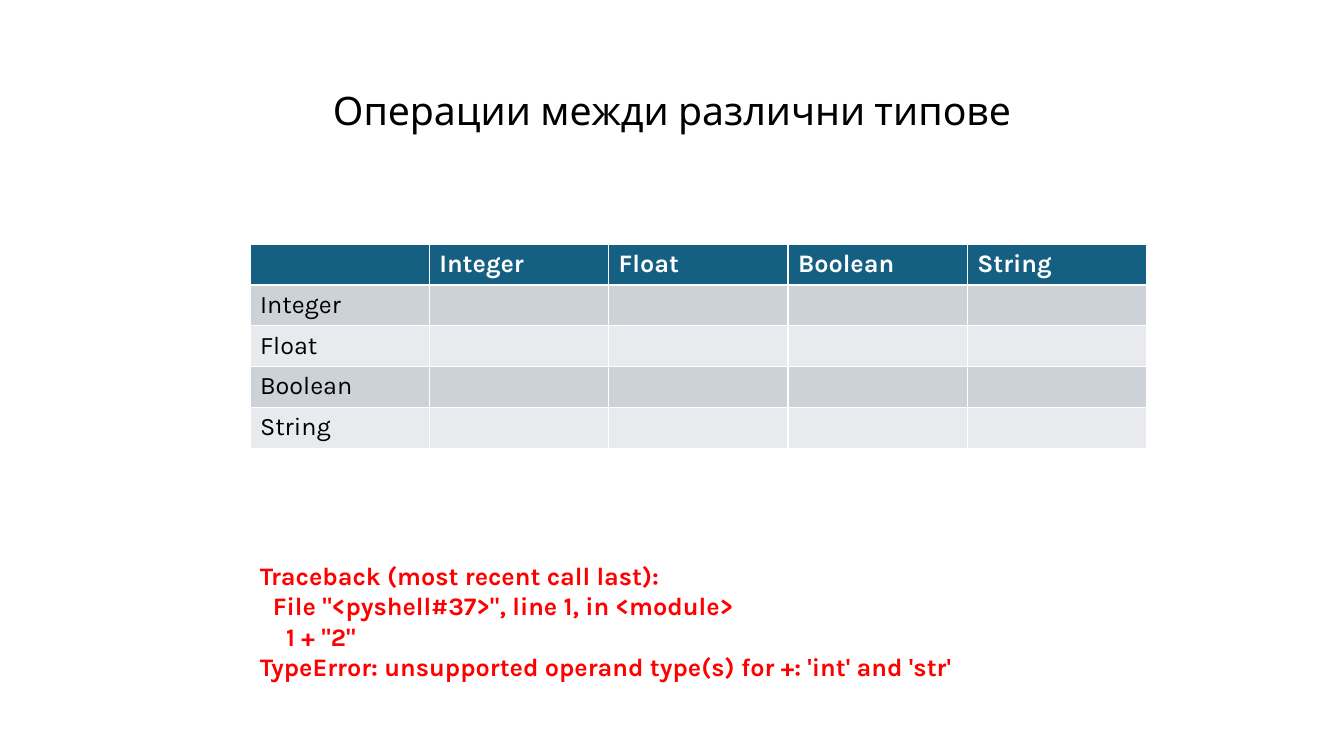
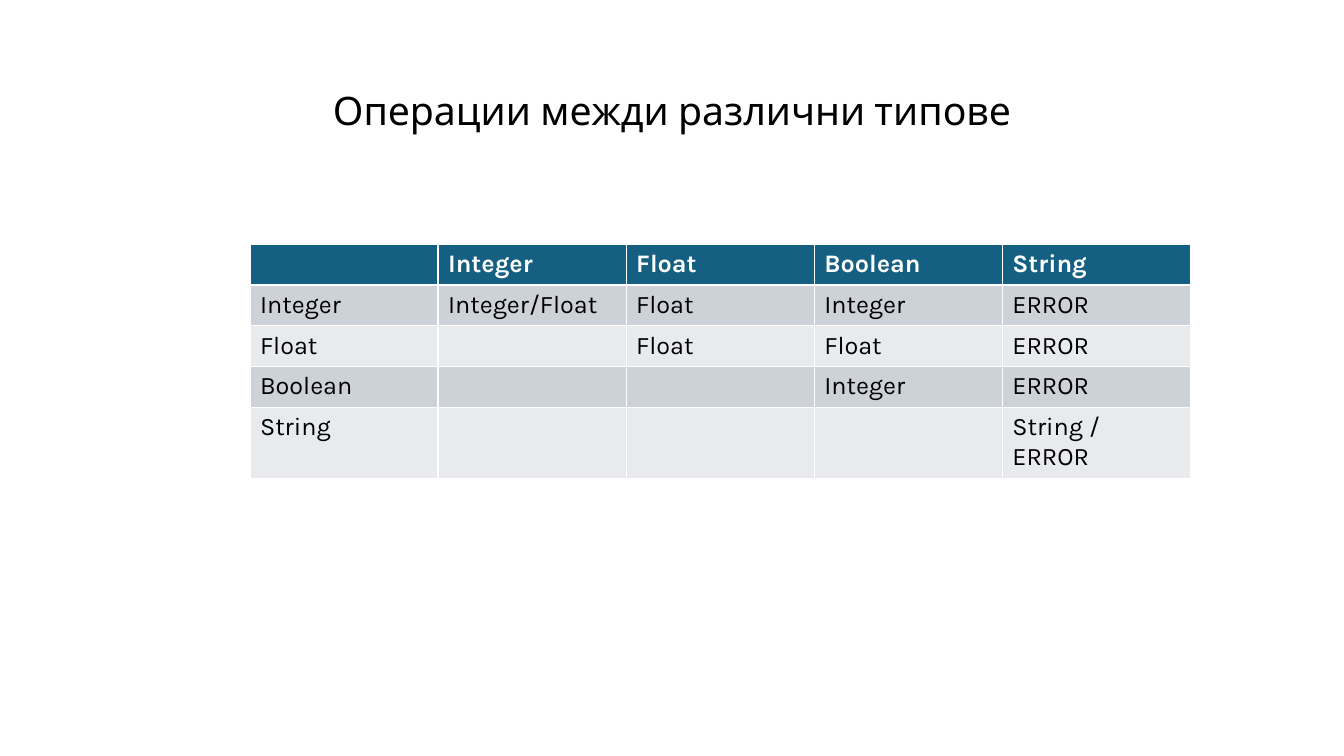
from pptx import Presentation
from pptx.dml.color import RGBColor
from pptx.enum.text import MSO_ANCHOR, PP_ALIGN
from pptx.util import Cm, Pt

FONT = "Karla"
HEADER = RGBColor(0x15, 0x60, 0x82)
BAND_DARK = RGBColor(0xCC, 0xD2, 0xD8)
BAND_LIGHT = RGBColor(0xE8, 0xEA, 0xED)
WHITE = RGBColor(0xFF, 0xFF, 0xFF)
BLACK = RGBColor(0x00, 0x00, 0x00)
RED = RGBColor(0xFF, 0x00, 0x00)

TITLE = "Операции межди различни типове"
TYPES = ["Integer", "Float", "Boolean", "String"]
LEFT = Cm(6.3)
ROW_HEIGHT = Cm(1.03)

# Column width and results of each slide, one row per left operand
TABLES = [
    (Cm(4.52), [[""] * 4] * 4),
    (Cm(4.74), [
        ["Integer/Float", "Float", "Integer", "ERROR"],
        ["", "Float", "Float", "ERROR"],
        ["", "", "Integer", "ERROR"],
        ["", "", "", "String / ERROR"],
    ]),
]

# Indent level and text of each traceback line
TRACEBACK = [
    (0, "Traceback (most recent call last):"),
    (1, 'File "<pyshell#37>", line 1, in <module>'),
    (2, '1 + "2"'),
    (0, "TypeError: unsupported operand type(s) for +: 'int' and 'str'"),
]
INDENT = Cm(0.33)


def style(paragraph, size, color, bold=False):
    for run in paragraph.runs:
        run.font.name = FONT
        run.font.size = Pt(size)
        run.font.bold = bold
        run.font.color.rgb = color


prs = Presentation()
prs.slide_width = Cm(33.87)
prs.slide_height = Cm(19.05)

for column_width, results in TABLES:
    slide = prs.slides.add_slide(prs.slide_layouts[6])

    # Title
    title = slide.shapes.add_textbox(Cm(2.33), Cm(1.01), Cm(29.21), Cm(3.68)).text_frame
    title.word_wrap = True
    title.vertical_anchor = MSO_ANCHOR.MIDDLE
    title.text = TITLE
    title.paragraphs[0].alignment = PP_ALIGN.CENTER
    title.paragraphs[0].line_spacing = 0.9
    style(title.paragraphs[0], 28, BLACK)

    # Operand types and result types; the default table style draws the white rules
    rows = [["", *TYPES]] + [[name, *row] for name, row in zip(TYPES, results)]
    operations = slide.shapes.add_table(
        len(rows), len(rows[0]), LEFT, Cm(6.15),
        column_width * len(rows[0]), ROW_HEIGHT * len(rows)).table
    for column in operations.columns:
        column.width = column_width
    for r, row in enumerate(rows):
        operations.rows[r].height = ROW_HEIGHT
        is_header = r == 0
        band = HEADER if is_header else BAND_DARK if r % 2 else BAND_LIGHT
        for c, label in enumerate(row):
            cell = operations.cell(r, c)
            cell.fill.solid()
            cell.fill.fore_color.rgb = band
            if label:
                cell.text_frame.text = label
                style(cell.text_frame.paragraphs[0], 18,
                      WHITE if is_header else BLACK, is_header)

# Error message on the first slide
error = prs.slides[0].shapes.add_textbox(LEFT, Cm(14), Cm(19.43), Cm(3.33)).text_frame
error.word_wrap = True
error.text = "\n".join(line for _, line in TRACEBACK)
for paragraph, (level, _) in zip(error.paragraphs, TRACEBACK):
    paragraph._p.get_or_add_pPr().set("marL", str(INDENT * level))
    style(paragraph, 18, RED, bold=True)

prs.save("out.pptx")
